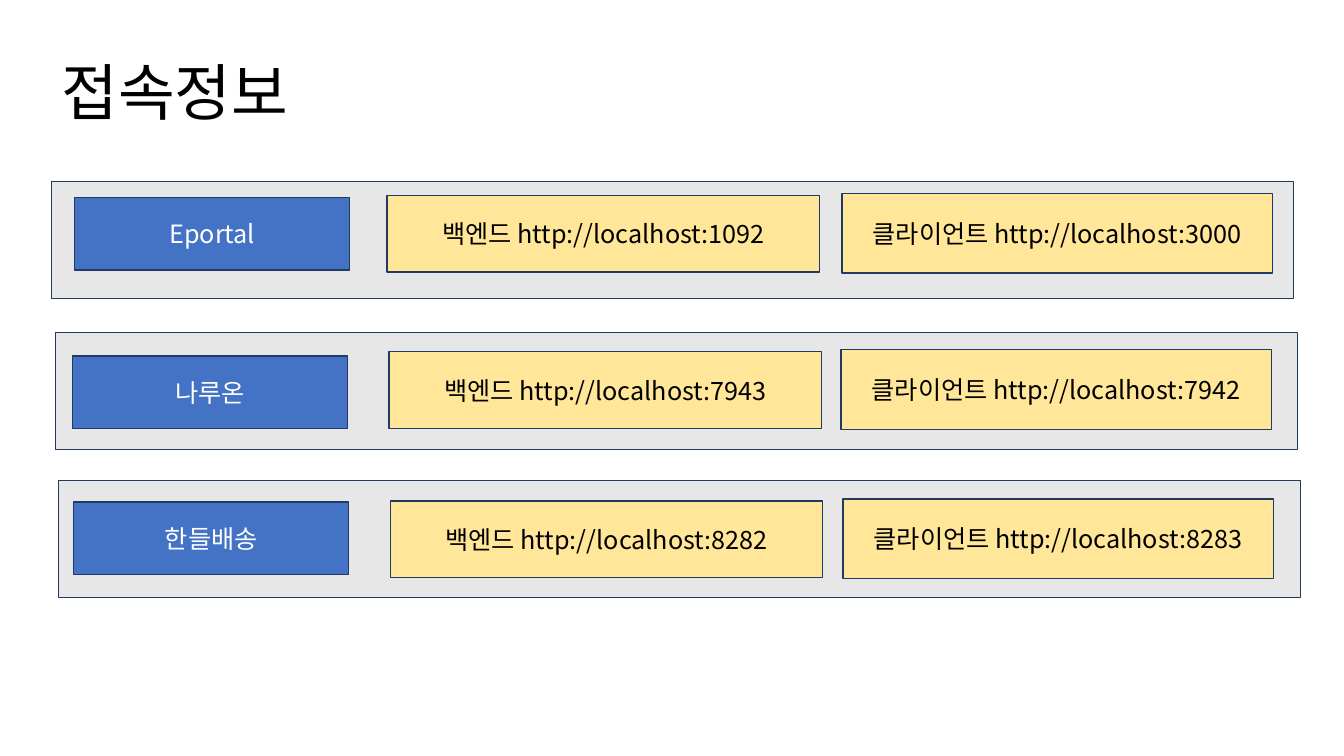
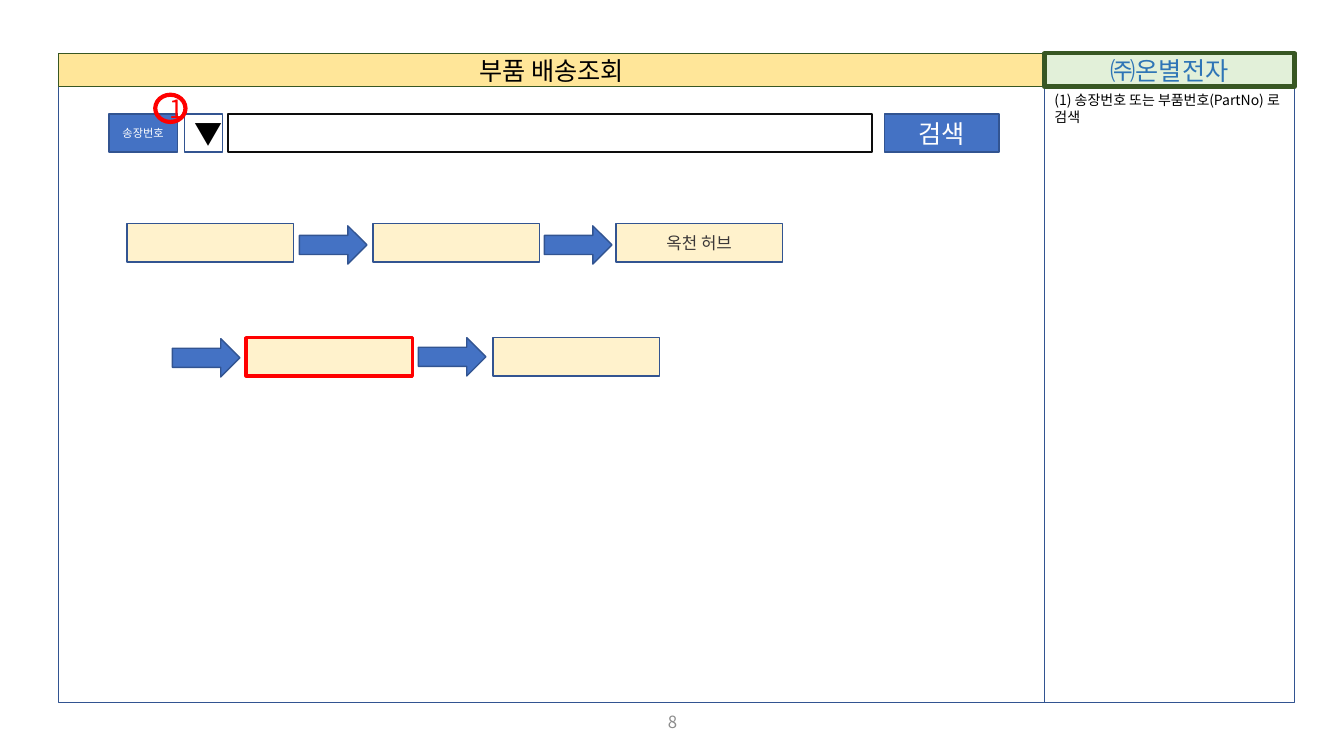
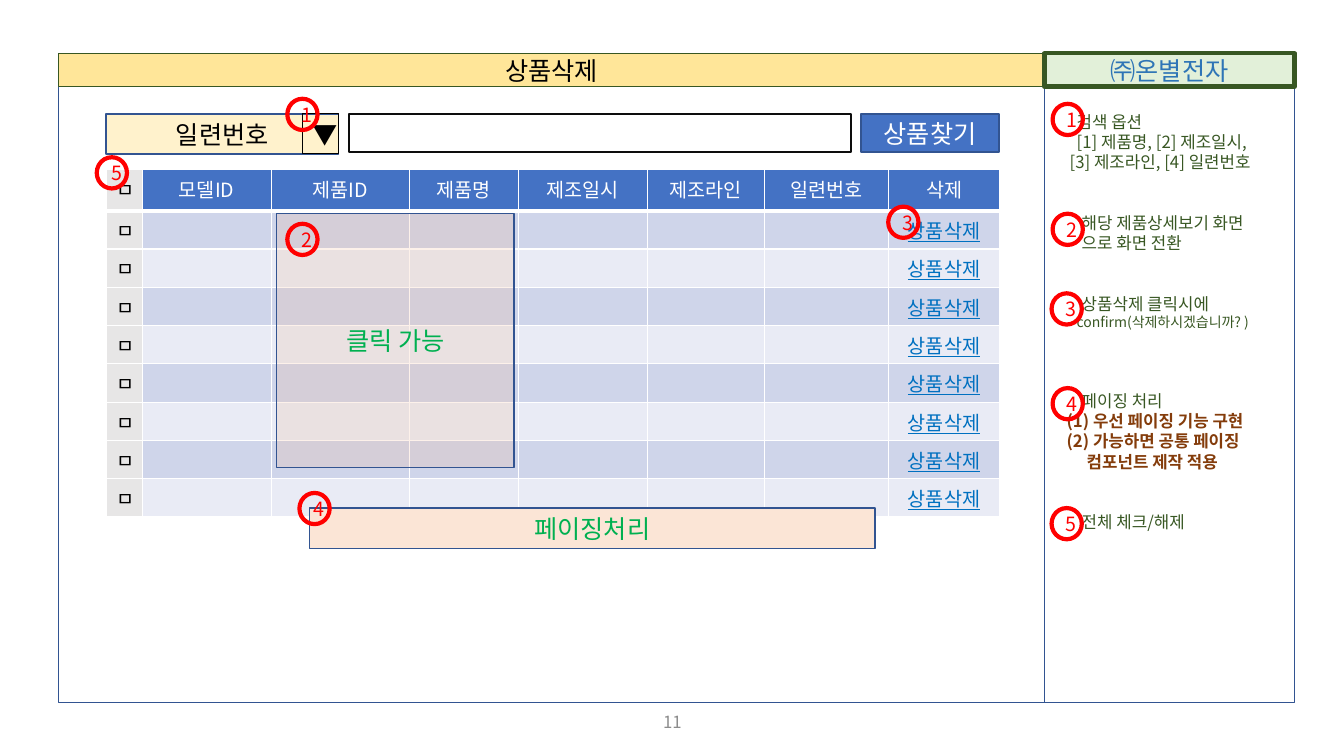
from dataclasses import dataclass

from lxml import etree
from pptx import Presentation
from pptx.dml.color import RGBColor
from pptx.enum.shapes import MSO_SHAPE
from pptx.enum.text import MSO_ANCHOR, PP_ALIGN
from pptx.oxml.ns import qn
from pptx.util import Inches, Pt

RECT, OVAL, ARROW = MSO_SHAPE.RECTANGLE, MSO_SHAPE.OVAL, MSO_SHAPE.RIGHT_ARROW
LEFT, CENTER = PP_ALIGN.LEFT, PP_ALIGN.CENTER
TOP, MIDDLE = MSO_ANCHOR.TOP, MSO_ANCHOR.MIDDLE

FONT = "Noto Sans CJK KR"
BLACK, WHITE, RED = "000000", "FFFFFF", "FF0000"
BLUE, NAVY, OUTLINE, INPUT_LINE = "4472C4", "223961", "325491", "0D0D0D"
YELLOW, CREAM, GREEN, DARK_GREEN = "FFE699", "FFF2CC", "00B050", "385723"
BROWN, LINK, GREY = "843C0B", "0070C0", "E7E6E6"
BANDS = ("CFD5EA", "E9EBF5")


@dataclass
class Box:
    left: float
    top: float
    width: float
    height: float
    fill: str | None = None
    line: str | None = OUTLINE
    line_width: float = 1
    text: str = ""
    size: float = 18
    color: str = BLACK
    kind: MSO_SHAPE = RECT
    align: PP_ALIGN = CENTER
    anchor: MSO_ANCHOR = MIDDLE


@dataclass
class Note:
    text: str
    indent: float = 0
    lines_before: int = 0
    size: float = 12
    color: str = DARK_GREEN
    bold: bool = False


@dataclass
class Service:
    name: str
    panel: tuple[float, float]
    label: tuple[float, float]
    backend: tuple[float, float]
    client: tuple[float, float]
    ports: tuple[int, int]


def rgb(value: str) -> RGBColor:
    return RGBColor.from_string(value)


def add_span(para, text: str, size: float, color: str, bold: bool = False,
             underline: bool = False) -> None:
    span = para.add_run()
    span.text = text
    font = span.font
    font.name, font.size = FONT, Pt(size)
    font.bold, font.underline = bold, underline
    font.color.rgb = rgb(color)
    east_asian = etree.SubElement(font._element, qn("a:ea"))
    east_asian.set("typeface", FONT)


def draw_box(page, box: Box):
    shape = page.shapes.add_shape(box.kind, Inches(box.left), Inches(box.top),
                                  Inches(box.width), Inches(box.height))
    shape.shadow.inherit = False
    if box.fill:
        shape.fill.solid()
        shape.fill.fore_color.rgb = rgb(box.fill)
    else:
        shape.fill.background()
    if box.line:
        shape.line.color.rgb = rgb(box.line)
        shape.line.width = Pt(box.line_width)
    else:
        shape.line.fill.background()
    frame = shape.text_frame
    frame.word_wrap = True
    frame.vertical_anchor = box.anchor
    para = frame.paragraphs[0]
    para.alignment = box.align
    if box.text:
        add_span(para, box.text, box.size, box.color)
    return shape


def draw_label(page, left: float, top: float, width: float, height: float,
               text: str, size: float, color: str, align: PP_ALIGN):
    label = page.shapes.add_textbox(Inches(left), Inches(top), Inches(width), Inches(height))
    label.text_frame.word_wrap = True
    label.text_frame.vertical_anchor = MIDDLE
    para = label.text_frame.paragraphs[0]
    para.alignment = align
    add_span(para, text, size, color)
    return para


def draw_badge(page, number: int, left: float, top: float, height: float = 0.31,
               size: float = 14) -> None:
    draw_box(page, Box(left, top, 0.3, height, None, RED, 3, str(number), size, RED, OVAL))


def draw_notes(panel, notes: list[Note], top_inset: float) -> None:
    frame = panel.text_frame
    frame.margin_top = Inches(top_inset)
    for index, note in enumerate(notes):
        para = frame.add_paragraph() if index else frame.paragraphs[0]
        para.alignment = LEFT
        para.line_spacing = Pt(note.size * 1.2)
        para.space_before = Pt(note.lines_before * 14.4)
        para._p.get_or_add_pPr().set("marL", str(Inches(note.indent)))
        add_span(para, note.text, note.size, note.color, note.bold)


def draw_screen_frame(page, title: str, number: int, notes: list[Note],
                      notes_top: float) -> None:
    """Draw the two panels, headers, notes and page number of a screen design."""
    draw_box(page, Box(0.58, 0.86, 9.78, 6.11))
    side = draw_box(page, Box(10.36, 0.86, 2.48, 6.11, anchor=TOP))
    draw_notes(side, notes, notes_top)
    draw_box(page, Box(0.58, 0.53, 9.78, 0.33, YELLOW, DARK_GREEN, 1, title))
    draw_box(page, Box(10.36, 0.53, 2.48, 0.33, "E2F0D9", DARK_GREEN, 3,
                       "㈜온별전자", 18, "2E75B6"))
    draw_label(page, 5.17, 6.96, 3, 0.4, str(number), 12, "8C8C8C", CENTER)


# Slide 1: service addresses
SERVICES = [
    Service("Eportal", (0.51, 1.8), (0.74, 1.96), (3.84, 1.94), (8.35, 1.92), (1092, 3000)),
    Service("나루온", (0.55, 3.3), (0.72, 3.53), (3.86, 3.49), (8.34, 3.47), (7943, 7942)),
    Service("한들배송", (0.58, 4.77), (0.73, 4.98), (3.87, 4.97), (8.36, 4.95), (8282, 8283)),
]


def build_addresses(page) -> None:
    title = draw_label(page, 0.51, 0.45, 8.62, 1, "접속정보", 44, BLACK, LEFT)
    title.line_spacing = 0.9
    for service in SERVICES:
        backend_port, client_port = service.ports
        draw_box(page, Box(*service.panel, 12.32, 1.16, "E7E7E7", NAVY))
        draw_box(page, Box(*service.label, 2.73, 0.72, BLUE, NAVY, 1, service.name, 18, WHITE))
        draw_box(page, Box(*service.backend, 4.29, 0.76, YELLOW, NAVY, 1,
                           f"백엔드 http://localhost:{backend_port}"))
        draw_box(page, Box(*service.client, 4.27, 0.79, YELLOW, NAVY, 1,
                           f"클라이언트 http://localhost:{client_port}"))


# Slide 2: delivery tracking
def build_tracking(page) -> None:
    notes = [Note("(1) 송장번호 또는 부품번호(PartNo) 로 검색", size=10, color=BLACK)]
    draw_screen_frame(page, "부품 배송조회", 8, notes, 0.05)
    # Search bar
    for box in (
        Box(8.77, 1.13, 1.14, 0.38, BLUE, text="검색", color=WHITE),
        Box(2.26, 1.13, 6.39, 0.38, line=INPUT_LINE),
        Box(1.08, 1.13, 0.68, 0.38, BLUE, text="송장번호", size=8, color=WHITE),
        Box(1.83, 1.13, 0.38, 0.38, WHITE, text="▼", size=20),
    ):
        draw_box(page, box)
    draw_badge(page, 1, 1.54, 0.94, 0.27, 18)
    # Delivery steps
    for left, top, text in ((1.26, 2.22, ""), (3.7, 2.22, ""), (6.11, 2.22, "옥천 허브"),
                            (4.89, 3.35, "")):
        draw_box(page, Box(left, top, 1.65, 0.38, CREAM, text=text, size=12, color="3B3838"))
    draw_box(page, Box(2.44, 3.35, 1.65, 0.38, CREAM, RED, 2.25))
    for left, top in ((2.97, 2.24), (5.4, 2.24), (1.71, 3.36), (4.15, 3.35)):
        draw_box(page, Box(left, top, 0.67, 0.38, BLUE, kind=ARROW))


# Slide 3: product deletion
DELETE_NOTES = [
    Note("검색 옵션", 0.22),
    Note("[1] 제품명, [2] 제조일시,", 0.22),
    Note("[3] 제조라인, [4] 일련번호", 0.15),
    Note("해당 제품상세보기 화면", 0.27, 2),
    Note("으로 화면 전환", 0.27),
    Note("상품삭제 클릭시에", 0.27, 2),
    Note("confirm(삭제하시겠습니까? )", 0.22, size=10),
    Note("페이징 처리", 0.27, 3),
    Note("(1) 우선 페이징 기능 구현", 0.12, color=BROWN, bold=True),
    Note("(2) 가능하면 공통 페이징", 0.12, color=BROWN, bold=True),
    Note("컴포넌트 제작 적용", 0.32, color=BROWN, bold=True),
    Note("전체 체크/해제", 0.27, 2),
]
HEADERS = ("ㅁ", "모델ID", "제품ID", "제품명", "제조일시", "제조라인", "일련번호", "삭제")
COLUMN_WIDTHS = (0.35, 1.28, 1.37, 1.08, 1.28, 1.16, 1.23, 1.11)
PRODUCT_ROWS = 8


def style_cell(cell, fill: str, bottom_width: float) -> None:
    properties = cell._tc.get_or_add_tcPr()
    for side, width in (("L", 1), ("R", 1), ("T", 1), ("B", bottom_width)):
        border = etree.SubElement(properties, qn(f"a:ln{side}"), w=str(Pt(width)))
        solid = etree.SubElement(border, qn("a:solidFill"))
        etree.SubElement(solid, qn("a:srgbClr"), val=WHITE)
    cell.fill.solid()
    cell.fill.fore_color.rgb = rgb(fill)


def draw_product_table(page) -> None:
    row_count = PRODUCT_ROWS + 1
    table = page.shapes.add_table(row_count, len(HEADERS), Inches(1.06), Inches(1.68),
                                  Inches(8.86), Inches(3.45)).table
    table.first_row = table.horz_banding = False
    for column, width in zip(table.columns, COLUMN_WIDTHS):
        column.width = Inches(width)
    last = len(HEADERS) - 1
    for row in range(row_count):
        table.rows[row].height = Inches(0.38 if row else 0.41)
        for column, header in enumerate(HEADERS):
            text, color, fill = header, WHITE, BLUE
            if row:
                text, color, fill = "", BLACK, BANDS[(row - 1) % 2]
                if column == last:
                    text, color = "상품삭제", LINK
            if column == 0:
                text, color, fill = HEADERS[0], BLACK, GREY
            cell = table.cell(row, column)
            style_cell(cell, fill, 1 if row else 3)
            para = cell.text_frame.paragraphs[0]
            para.alignment = CENTER
            if text:
                add_span(para, text, 14, color, underline=color == LINK)
            else:
                etree.SubElement(para._p, qn("a:endParaRPr"), sz="1400")


def build_deletion(page) -> None:
    draw_screen_frame(page, "상품삭제", 11, DELETE_NOTES, 0.25)
    # Search bar
    for box in (
        Box(8.54, 1.13, 1.37, 0.38, BLUE, text="상품찾기", color=WHITE),
        Box(3.46, 1.13, 4.98, 0.38, line=INPUT_LINE),
        Box(1.05, 1.13, 2.31, 0.4, CREAM, text="일련번호"),
        Box(3, 1.13, 0.36, 0.39, line=BLACK, line_width=0.75, text="▼", anchor=TOP),
    ):
        draw_box(page, box)
    draw_product_table(page)
    # Paging bar and translucent click area
    draw_box(page, Box(3.07, 5.04, 5.61, 0.4, "FBE5D6", text="페이징처리", color=GREEN))
    area = draw_box(page, Box(2.74, 2.12, 2.36, 2.52, "F4B183", text="클릭 가능", color=GREEN))
    area_color = area._element.spPr.find(qn("a:solidFill")).find(qn("a:srgbClr"))
    etree.SubElement(area_color, qn("a:alpha"), val="17000")
    # Badges on the screen and beside the notes
    for number, left, top in (
        (1, 2.85, 0.98), (2, 2.85, 2.22), (3, 8.81, 2.05), (4, 2.97, 4.89), (5, 0.96, 1.56),
        (1, 10.44, 1.03), (2, 10.44, 2.12), (3, 10.43, 2.91), (4, 10.44, 3.85),
        (5, 10.43, 5.04),
    ):
        draw_badge(page, number, left, top)


def main() -> None:
    deck = Presentation()
    deck.slide_width, deck.slide_height = Inches(13.33), Inches(7.5)
    blank = deck.slide_layouts[6]
    for build in (build_addresses, build_tracking, build_deletion):
        build(deck.slides.add_slide(blank))
    deck.save("out.pptx")


if __name__ == "__main__":
    main()
